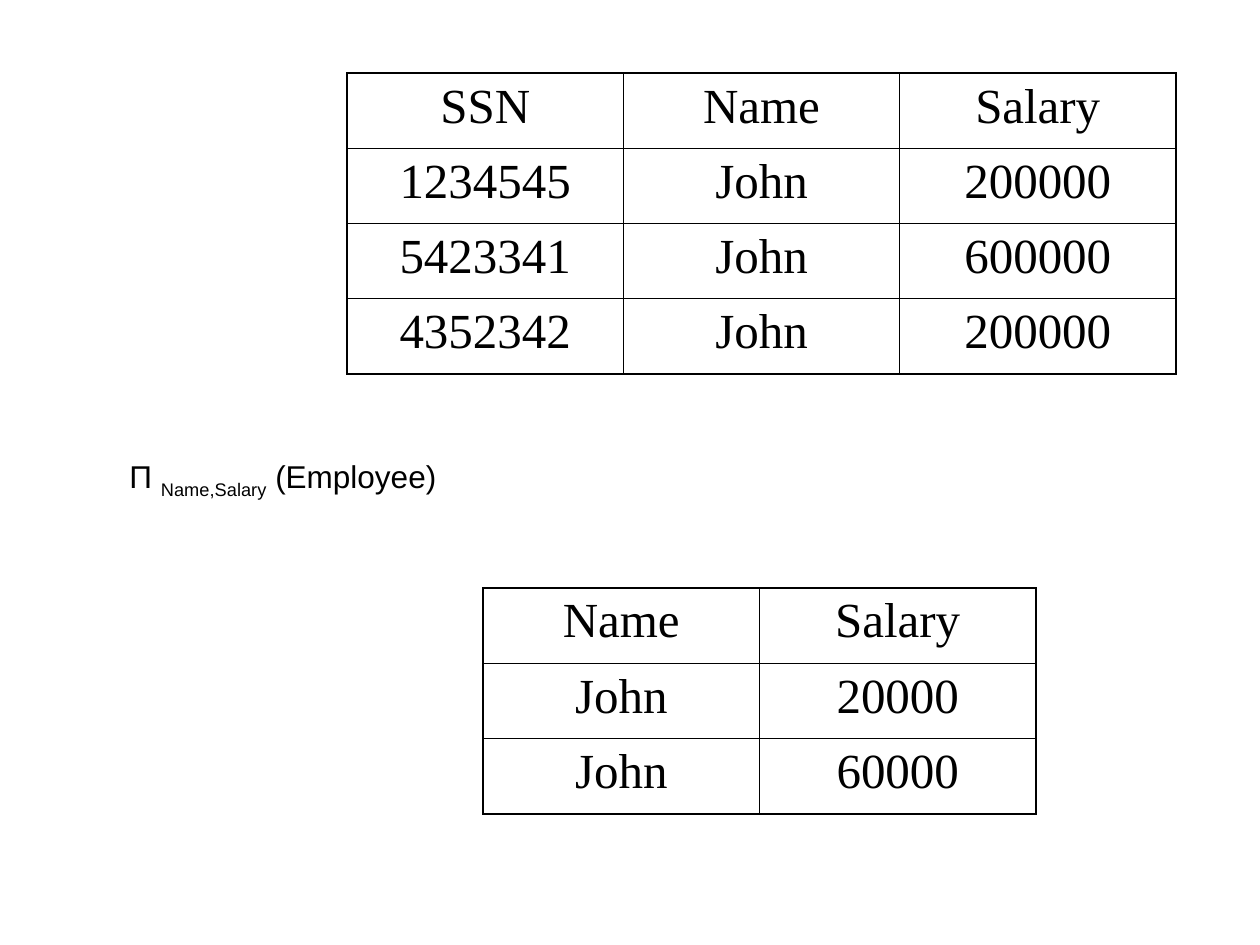
from lxml import etree
from pptx import Presentation
from pptx.dml.color import RGBColor
from pptx.enum.text import MSO_AUTO_SIZE, PP_ALIGN
from pptx.oxml.ns import qn
from pptx.util import Pt

PX = 914400 / 126
BLACK = RGBColor(0x00, 0x00, 0x00)
CENTER = PP_ALIGN.CENTER
NO_WRAP_FIT = MSO_AUTO_SIZE.SHAPE_TO_FIT_TEXT
OUTER, INNER = Pt(1.08), Pt(0.45)


def px(length):
    return round(length * PX)


def add_relation(slide, left, top, width, height, rows):
    """Add a grid of centred values with a heavier outer frame."""
    last_row, last_col = len(rows) - 1, len(rows[0]) - 1
    grid = slide.shapes.add_table(len(rows), len(rows[0]), px(left), px(top),
                                  px(width), px(height)).table
    grid.first_row = grid.horz_banding = False
    for r, row in enumerate(rows):
        for c, value in enumerate(row):
            cell = grid.cell(r, c)
            paragraph = cell.text_frame.paragraphs[0]
            paragraph.text = value
            paragraph.alignment = CENTER
            paragraph.space_before = Pt(7)
            font = paragraph.runs[0].font
            font.name, font.size = "Times New Roman", Pt(28)
            font.color.rgb = BLACK

            properties = cell._tc.get_or_add_tcPr()
            on_frame = {"L": c == 0, "R": c == last_col, "T": r == 0, "B": r == last_row}
            for side, outer in on_frame.items():
                border = etree.SubElement(properties, qn(f"a:ln{side}"),
                                          w=str(OUTER if outer else INNER))
                fill = etree.SubElement(border, qn("a:solidFill"))
                etree.SubElement(fill, qn("a:srgbClr"), val=str(BLACK))
            cell.fill.background()


prs = Presentation()
prs.slide_width, prs.slide_height = px(1260), px(945)
slide = prs.slides.add_slide(prs.slide_layouts[6])

# Projection expression
projection = slide.shapes.add_textbox(px(117), px(451), px(334), px(55)).text_frame
projection.word_wrap = False
projection.auto_size = NO_WRAP_FIT
expression = projection.paragraphs[0]
expression.space_before = Pt(4.5)
for text, baseline in [("Π ", 0), ("Name,Salary", -25000), (" (Employee)", 0)]:
    run = expression.add_run()
    run.text = text
    run.font.name, run.font.size = "Arial", Pt(18)
    run.font.color.rgb = BLACK
    if baseline:
        run.font._element.set("baseline", str(baseline))

# Employee relation and the result of the projection
add_relation(slide, 347, 73, 829, 301, [
    ("SSN", "Name", "Salary"),
    ("1234545", "John", "200000"),
    ("5423341", "John", "600000"),
    ("4352342", "John", "200000"),
])
add_relation(slide, 483, 588, 553, 226, [
    ("Name", "Salary"),
    ("John", "20000"),
    ("John", "60000"),
])

prs.save("out.pptx")
